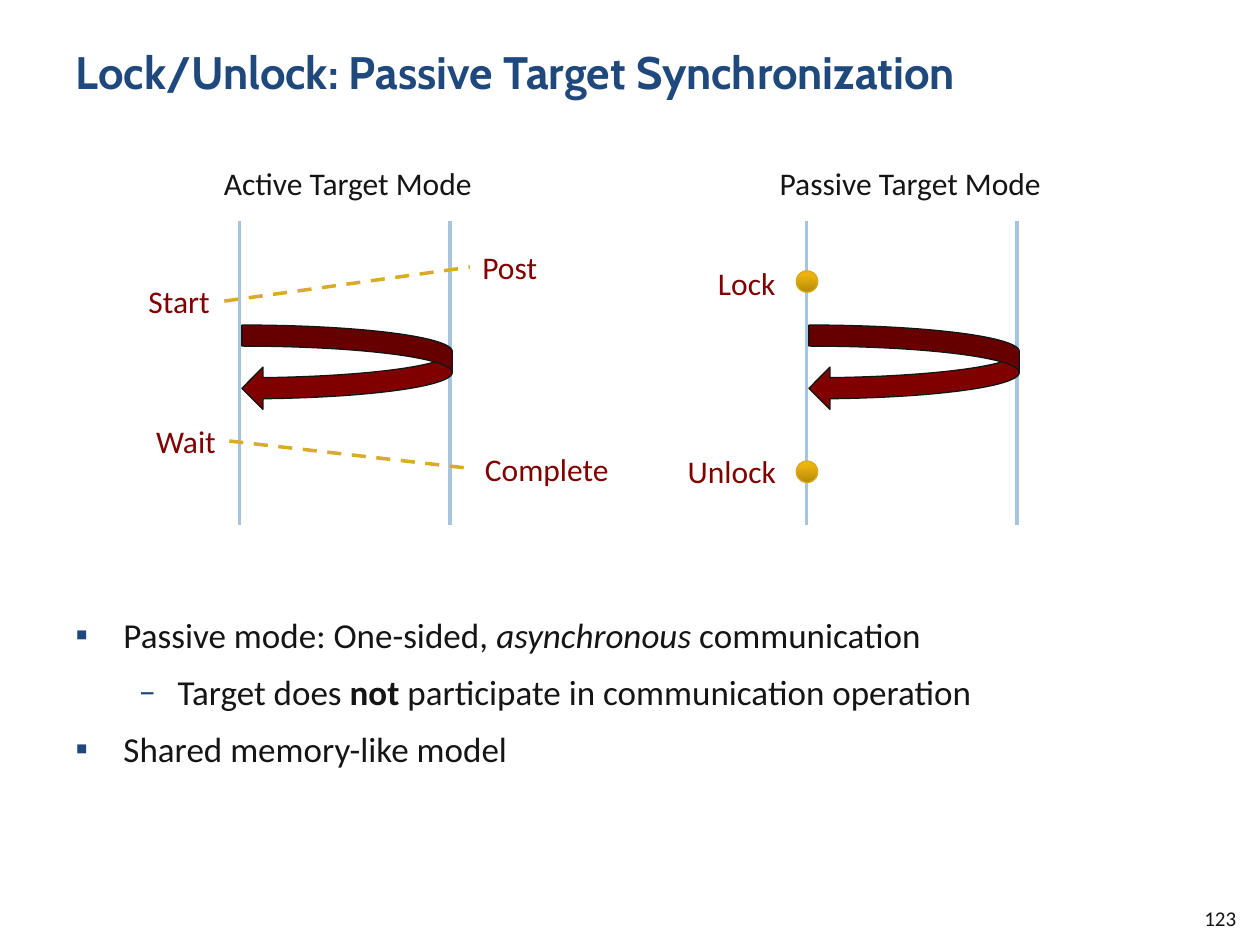
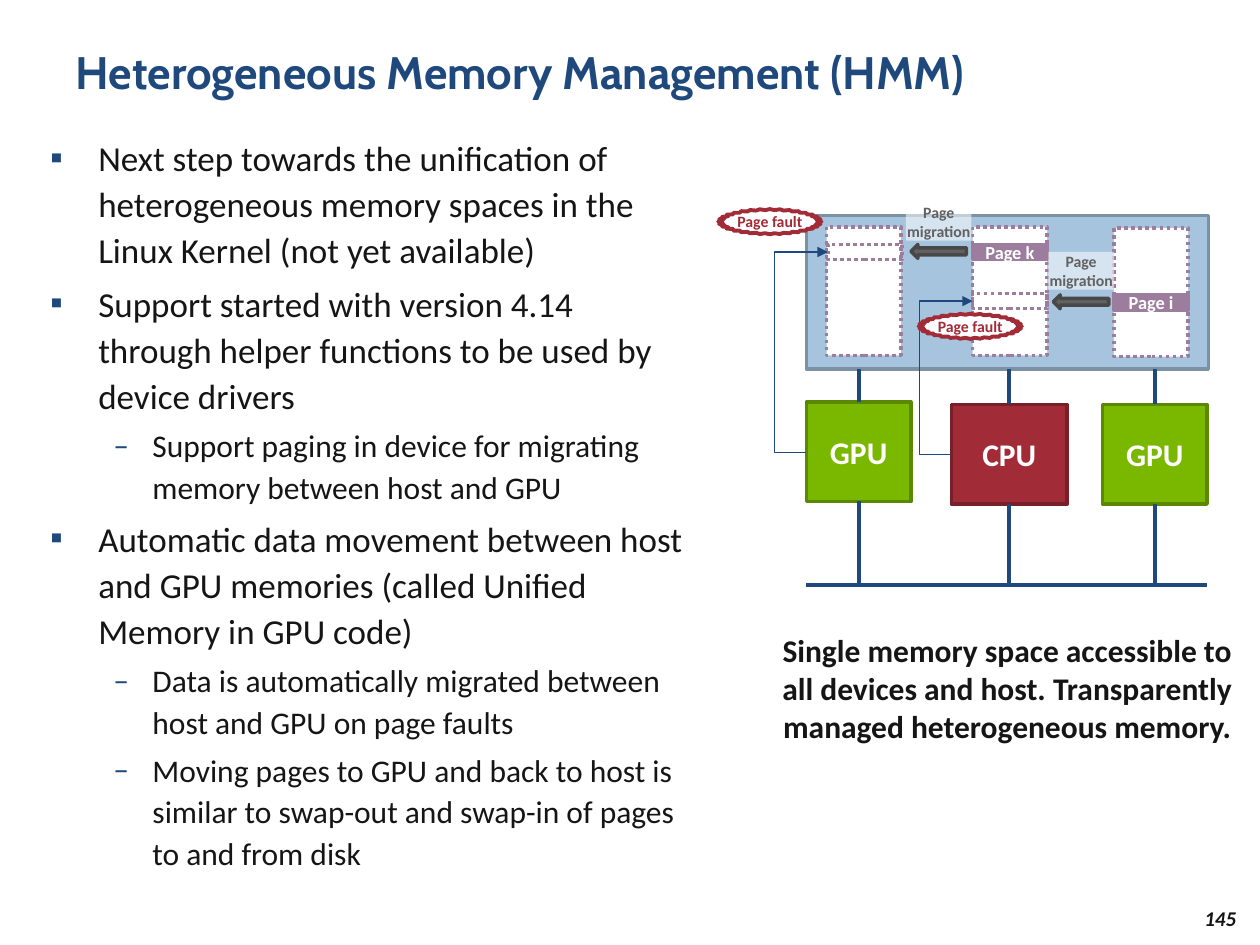
from lxml.etree import SubElement
from pptx import Presentation
from pptx.dml.color import RGBColor
from pptx.enum.dml import MSO_LINE
from pptx.enum.shapes import MSO_CONNECTOR as Connector, MSO_SHAPE as Shape
from pptx.enum.text import MSO_ANCHOR as Anchor, MSO_AUTO_SIZE as AutoSize, PP_ALIGN as Align
from pptx.oxml.ns import qn
from pptx.util import Inches, Pt

# Shared look
NAVY, INK, WHITE = "1F497D", "151515", "FFFFFF"
SKY, MAROON, GOLD, GOLD_EDGE = "A6C4DE", "800000", "D8AC28", "D8AA23"
GREEN, RED, MAUVE, GRAY = "7AB800", "A22B38", "9D7D9E", "616161"
TITLE_FONT, TEXT_FONT = "Cabin", "Calibri"
TITLE_AT = (0.5, 0.3, 9, 0.87)
NUMBER_AT = (8.83, 7.15, 1.08, 0.27)
BULLETS = [("▪", 0.38, -0.38), ("–", 0.81, -0.31)]  # sign, left margin, indent
GOLD_STOPS = [(0, "B58A0A"), (80, "EBB30D"), (100, "F0B609")]

# Synchronization slide: each list item is level, size, runs of (text, style)
SYNC_TITLE = "Lock/Unlock: Passive Target Synchronization"
SYNC_ITEMS = [
    (0, 20, [("Passive mode: One-sided, ", ""), ("asynchronous", "italic"), (" communication", "")]),
    (1, 20, [("Target does ", ""), ("not ", "bold"), ("participate in communication operation", "")]),
    (0, 20, [("Shared memory-like model", "")]),
]
MODES = [("Active Target Mode", (1.65, 1.25, 2.22, 0.4), 1.9),
         ("Passive Target Mode", (6.06, 1.25, 2.33, 0.4), 6.4)]
LIFELINE_TOP, LIFELINE_BOTTOM, LIFELINE_GAP = 1.75, 4.17, 1.67
CALLS = [("Lock", 5.6, 2.05, 0.66), ("Unlock", 5.36, 3.54, 0.91),
         ("Start", 1.08, 2.19, 0.69), ("Complete", 3.75, 3.52, 1.19),
         ("Post", 3.73, 1.92, 0.64), ("Wait", 1.14, 3.3, 0.68)]
LOCK_DOT_TOPS = [2.15, 3.66]
MATCHES = [(1.78, 2.39, 3.73, 2.12), (1.82, 3.5, 3.75, 3.72)]

# Memory slide
HMM_TITLE = "Heterogeneous Memory Management (HMM)"
HMM_ITEMS = [(level, 20 - 2 * level, [(text, "")]) for level, text in [
    (0, "Next step towards the unification of heterogeneous memory spaces in the "
        "Linux Kernel (not yet available)"),
    (0, "Support started with version 4.14 through helper functions to be used by device drivers"),
    (1, "Support paging in device for migrating memory between host and GPU"),
    (0, "Automatic data movement between host and GPU memories (called Unified Memory in GPU code)"),
    (1, "Data is automatically migrated between host and GPU on page faults"),
    (1, "Moving pages to GPU and back to host is similar to swap-out and swap-in of pages "
        "to and from disk"),
]]
MEMORY = (6.4, 1.71, 3.19, 1.22)
MEMORY_BOTTOM, BUS_Y = 2.93, 4.64
DEVICES = [("GPU", (6.4, 3.19, 0.83, 0.79), GREEN, "5A8800"),
           ("CPU", (7.55, 3.21, 0.92, 0.79), RED, "782029"),
           ("GPU", (8.75, 3.21, 0.83, 0.79), GREEN, "5A8800")]
PAGE_WIDTH, PAGE_HEIGHT, SPACE_HEIGHT = 0.59, 0.12, 1.02
SPACES = [(8.84, 1.81), (7.72, 1.8), (6.56, 1.8)]
PAGES = [("Page i", 8.84, 2.34), ("", 7.72, 2.33), ("Page k", 7.72, 1.94), ("", 6.57, 1.94)]
REQUESTS = [(6.4, 3.59, 6.57, 2), (7.55, 3.61, 7.72, 2.39)]
REQUEST_BEND = 0.25
FAULTS = [(5.7, 1.66), (7.29, 2.49)]
MIGRATION_ARROWS = [(8.36, 2.34), (7.23, 1.94)]
MIGRATION_LABELS = [(8.32, 2), (7.19, 1.61)]
CAPTION = ("Single memory space accessible to all devices and host. "
           "Transparently managed heterogeneous memory.")


def color(value):
    return RGBColor.from_string(value)


def set_font(font, size, ink, bold=False, italic=False, name=TEXT_FONT):
    font.name, font.size, font.bold, font.italic = name, Pt(size), bold, italic
    font.color.rgb = color(ink)


def place(shape, at):
    shape.left, shape.top, shape.width, shape.height = map(Inches, at)


def write(shape, text, size, ink, align=Align.LEFT, anchor=Anchor.TOP, wrap=True,
          inset=None, **style):
    frame = shape.text_frame
    frame.word_wrap, frame.vertical_anchor = wrap, anchor
    if inset is not None:
        frame.margin_left = frame.margin_right = Inches(inset)
        frame.margin_top = frame.margin_bottom = Inches(inset)
    paragraph = frame.paragraphs[0]
    paragraph.text, paragraph.alignment = text, align
    set_font(paragraph.font, size, ink, **style)


def add_text(slide, at, text, size, ink, **options):
    write(slide.shapes.add_textbox(*map(Inches, at)), text, size, ink, **options)


def add_shape(slide, kind, at, fill=None, edge=None, weight=2, dash=None):
    shape = slide.shapes.add_shape(kind, *map(Inches, at))
    shape.shadow.inherit = False
    if fill:
        shape.fill.solid()
        shape.fill.fore_color.rgb = color(fill)
    else:
        shape.fill.background()
    if edge:
        shape.line.color.rgb, shape.line.width = color(edge), Pt(weight)
        if dash:
            shape.line.dash_style = dash
    else:
        shape.line.fill.background()
    return shape


def add_line(slide, ends, ink, weight, kind=Connector.STRAIGHT, dash=None):
    line = slide.shapes.add_connector(kind, *map(Inches, ends))
    line.line.color.rgb, line.line.width = color(ink), Pt(weight)
    if dash:
        line.line.dash_style = dash
    SubElement(line._element.spPr, qn("a:effectLst"))
    return line


def add_bent_arrow(slide, ends, bend):
    """Arrow that first runs left by bend inches, then up and back right."""
    arrow = add_line(slide, ends, NAVY, 0.75, Connector.ELBOW)
    geometry = arrow._element.spPr.find(qn("a:prstGeom"))
    guides = geometry.find(qn("a:avLst"))
    if guides is None:
        guides = SubElement(geometry, qn("a:avLst"))
    ratio = -bend / (ends[2] - ends[0])
    SubElement(guides, qn("a:gd"), name="adj1", fmla=f"val {round(ratio * 100000)}")
    SubElement(arrow.line._get_or_add_ln(), qn("a:tailEnd"), type="triangle")


def fill_gradient(shape, stops):
    shape.fill.gradient()
    shape.fill.gradient_angle = 90
    stop_list = shape._element.spPr.find(qn("a:gradFill")).find(qn("a:gsLst"))
    for stop in list(stop_list):
        stop_list.remove(stop)
    for position, value in stops:
        stop = SubElement(stop_list, qn("a:gs"), pos=str(position * 1000))
        SubElement(stop, qn("a:srgbClr"), val=value)


def set_opacity(shape, percent):
    fill = shape._element.spPr.find(qn("a:solidFill"))
    SubElement(fill[0], qn("a:alpha"), val=str(percent * 1000))


def add_bullet(paragraph, level):
    sign, margin, indent = BULLETS[level]
    properties = paragraph._p.get_or_add_pPr()
    properties.set("marL", str(Inches(margin)))
    properties.set("indent", str(Inches(indent)))
    SubElement(SubElement(properties, qn("a:buClr")), qn("a:srgbClr"), val=NAVY)
    SubElement(properties, qn("a:buFont"), typeface=TEXT_FONT)
    SubElement(properties, qn("a:buChar"), char=sign)


def fill_list(body, at, items, spacing):
    place(body, at)
    frame = body.text_frame
    frame.auto_size, frame.vertical_anchor = AutoSize.NONE, Anchor.TOP
    for index, (level, size, runs) in enumerate(items):
        paragraph = frame.add_paragraph() if index else frame.paragraphs[0]
        paragraph.level, paragraph.line_spacing = level, spacing
        paragraph.space_before = Pt(size * 0.2 if index else 0)
        add_bullet(paragraph, level)
        set_font(paragraph.font, size, INK)
        for text, style in runs:
            run = paragraph.add_run()
            run.text = text
            if style:
                setattr(run.font, style, True)


def add_base_slide(presentation, title, number, **number_style):
    slide = presentation.slides.add_slide(presentation.slide_layouts[1])
    place(slide.shapes.title, TITLE_AT)
    slide.shapes.title.text_frame.auto_size = AutoSize.NONE
    write(slide.shapes.title, title, 26, NAVY, bold=True, name=TITLE_FONT)
    add_text(slide, NUMBER_AT, number, 12, INK, align=Align.RIGHT, anchor=Anchor.MIDDLE,
             **number_style)
    return slide


def build_sync_slide(presentation):
    slide = add_base_slide(presentation, SYNC_TITLE, "123")
    fill_list(slide.placeholders[1], (0.5, 4.75, 9, 2.17), SYNC_ITEMS, 1.2)

    # Lifelines of both modes
    for name, at, left in MODES:
        add_text(slide, at, name, 18, INK, align=Align.CENTER, wrap=False)
        for x in (left, left + LIFELINE_GAP):
            add_line(slide, (x, LIFELINE_TOP, x, LIFELINE_BOTTOM), SKY, 2)

    # Calls and how they match
    for ends in MATCHES:
        add_line(slide, ends, GOLD, 2, dash=MSO_LINE.DASH)
    for top in LOCK_DOT_TOPS:
        dot = add_shape(slide, Shape.OVAL, (6.32, top, 0.17, 0.17), None, GOLD_EDGE, 0.75)
        fill_gradient(dot, GOLD_STOPS)
    for name, left, top, width in CALLS:
        add_text(slide, (left, top, width, 0.4), name, 18, MAROON)

    # Data transfer
    for _, _, left in MODES:
        add_shape(slide, Shape.CURVED_LEFT_ARROW, (left + 0.02, 2.58, LIFELINE_GAP, 0.67),
                  MAROON, INK, 0.75)


def build_memory_slide(presentation):
    slide = add_base_slide(presentation, HMM_TITLE, "145", bold=True, italic=True)
    fill_list(slide.placeholders[1], (0.3, 1, 5.25, 5.9), HMM_ITEMS, 1.1)
    centered = dict(align=Align.CENTER, bold=True)
    middle = dict(centered, anchor=Anchor.MIDDLE)

    # Devices between the memory and the bus
    add_shape(slide, Shape.RECTANGLE, MEMORY, SKY, "7B91A4")
    add_line(slide, (6.4, BUS_Y, 9.58, BUS_Y), NAVY, 2.25)
    for name, at, fill, edge in DEVICES:
        left, top, width, height = at
        device = add_shape(slide, Shape.RECTANGLE, at, fill, edge)
        write(device, name, 18, WHITE, **middle)
        x = left + width / 2
        link = add_line(slide, (x, MEMORY_BOTTOM, x, top), NAVY, 2.25)
        link.end_connect(device, 0)
        link = add_line(slide, (x, top + height, x, BUS_Y), NAVY, 2.25)
        link.begin_connect(device, 2)

    # Memory spaces and their pages
    for left, top in SPACES:
        add_shape(slide, Shape.RECTANGLE, (left, top, PAGE_WIDTH, SPACE_HEIGHT),
                  WHITE, MAUVE, dash=MSO_LINE.ROUND_DOT)
    for name, left, top in PAGES:
        page = add_shape(slide, Shape.RECTANGLE, (left, top, PAGE_WIDTH, PAGE_HEIGHT),
                         MAUVE if name else None, MAUVE,
                         dash=None if name else MSO_LINE.ROUND_DOT)
        if name:
            write(page, name, 10.5, WHITE, inset=0, **middle)

    # Page requests, faults and migrations
    for ends in REQUESTS:
        add_bent_arrow(slide, ends, REQUEST_BEND)
    for left, top in FAULTS:
        fault = add_shape(slide, Shape.STAR_32_POINT, (left, top, 0.82, 0.2), WHITE, RED, 2.25)
        fault.adjustments[0] = 0.459
        write(fault, "Page fault", 9, RED, wrap=False, inset=0, **middle)
    for left, top in MIGRATION_ARROWS:
        add_shape(slide, Shape.LEFT_ARROW, (left, top, 0.44, 0.11), GRAY, "484848")
    for left, top in MIGRATION_LABELS:
        label = add_shape(slide, Shape.RECTANGLE, (left, top, 0.52, 0.3), WHITE)
        set_opacity(label, 55)
        write(label, "Page migration", 9, GRAY, inset=0, **centered)

    add_text(slide, (6.01, 4.96, 3.97, 1.01), CAPTION, 18, INK, **centered)


def main():
    presentation = Presentation()
    presentation.slide_width, presentation.slide_height = Inches(10), Inches(7.5)
    build_sync_slide(presentation)
    build_memory_slide(presentation)
    presentation.save("out.pptx")


if __name__ == "__main__":
    main()
